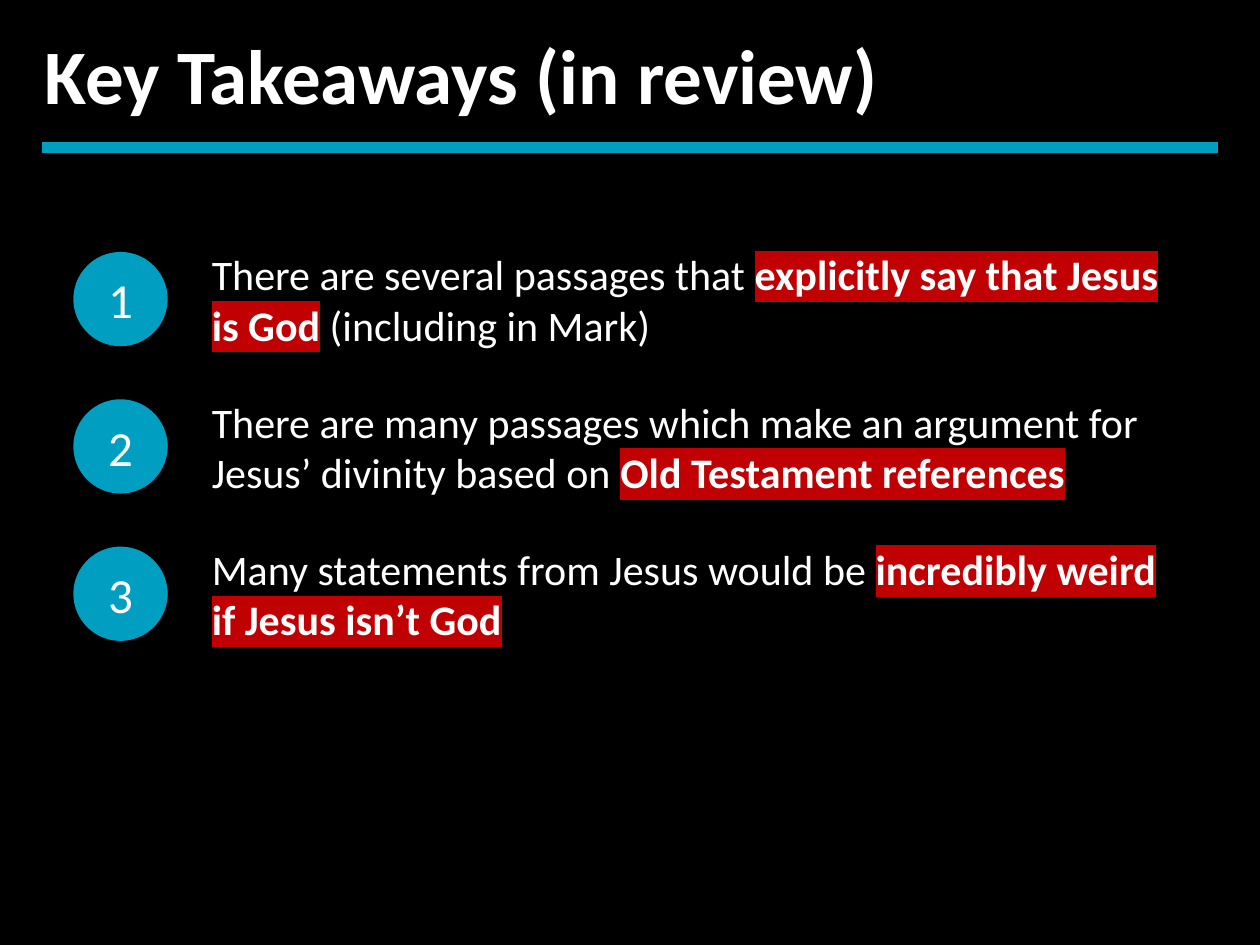
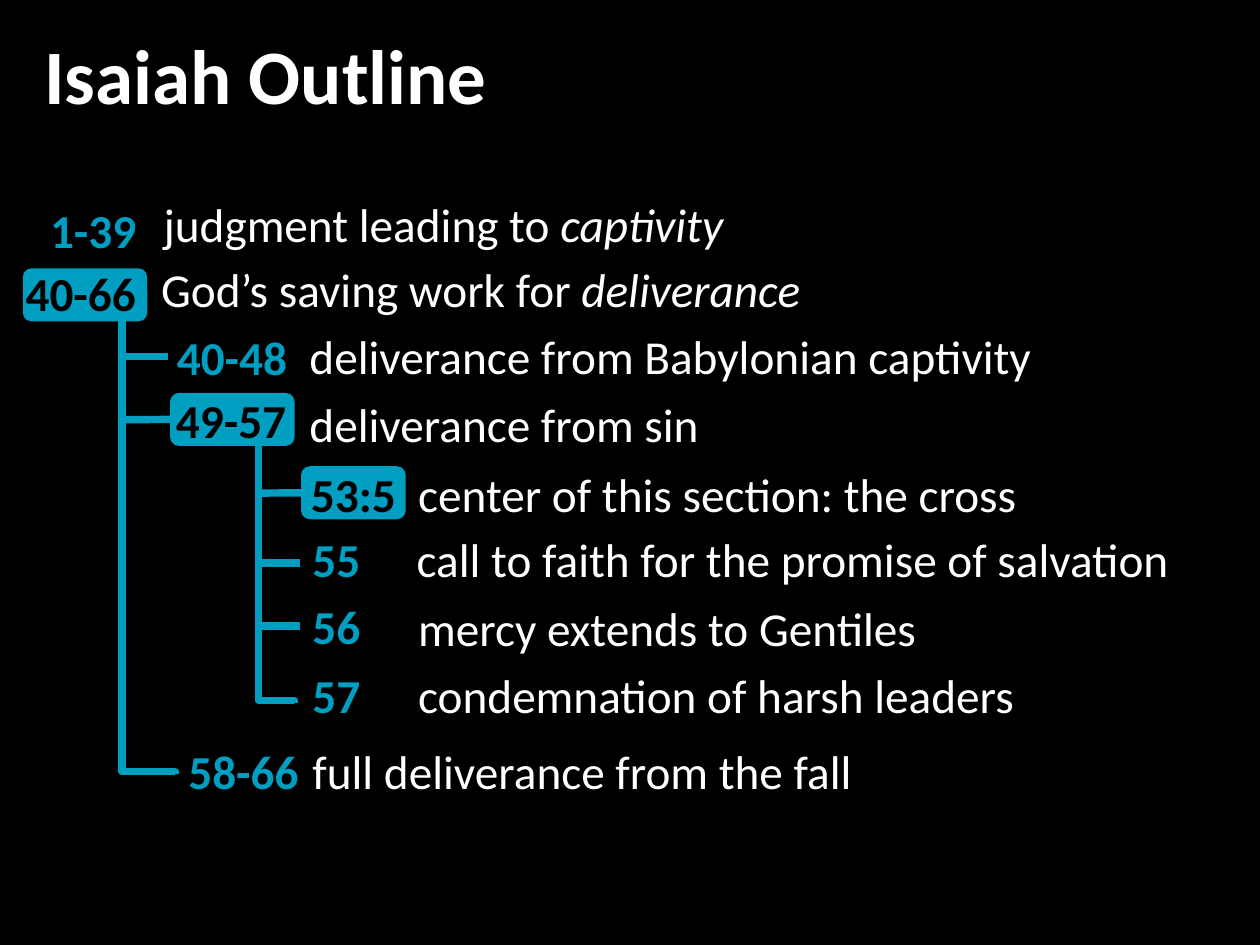
from lxml.etree import SubElement
from pptx import Presentation
from pptx.dml.color import RGBColor
from pptx.enum.shapes import MSO_CONNECTOR, MSO_SHAPE
from pptx.enum.text import MSO_ANCHOR, MSO_AUTO_SIZE, PP_ALIGN
from pptx.oxml.ns import qn
from pptx.util import Cm, Pt

COLORS = {"black": "000000", "white": "FFFFFF", "teal": "009EC0", "red": "C00002"}
FONT = "Calibri"
TITLE = {"size": Pt(44), "bold": True}
NUMBER = {"size": Pt(28)}
POINT = {"size": Pt(24)}
ENTRY = {"size": Pt(27)}
CHAPTER = {"size": Pt(27), "bold": True}
STRONG = {"bold": True}
ITALIC = {"italic": True}

TAKEAWAYS = [
    [("There are several passages that ", {}),
     ("explicitly say that Jesus is God", STRONG),
     (" (including in Mark)", {})],
    [("There are many passages which make an argument for Jesus’ divinity based on ", {}),
     ("Old Testament references", STRONG)],
    [("Many statements from Jesus would be ", {}),
     ("incredibly weird if Jesus isn’t God", STRONG)],
]

# chapters, (left, top, width), align, entry runs, (left, top, width)
OUTLINE = [
    ("1-39", (0.74, 3.94, 2.26), "right",
     [("judgment leading to ", {}), ("captivity", ITALIC)], (3.05, 3.81, 11.91)),
    ("40-66", (0.25, 5.21, 2.74), "right",
     [("God’s saving work for ", {}), ("deliverance", ITALIC)], (3, 5.13, 13.51)),
    ("40-48", (3.3, 6.5, 2.74), "right",
     [("deliverance from Babylonian captivity", {})], (5.99, 6.48, 15.19)),
    ("49-57", (3.28, 7.77, 2.74), "right",
     [("deliverance from sin", {})], (5.99, 7.85, 8.43)),
    ("53:5", (6.02, 9.25, 2.24), "left",
     [("center of this section: the cross", {})], (8.18, 9.25, 12.67)),
    ("55", (6.05, 10.57, 1.47), "left",
     [("call to faith for the promise of salvation", {})], (8.15, 10.57, 15.8)),
    ("56", (6.05, 11.91, 1.47), "left",
     [("mercy extends to Gentiles", {})], (8.18, 11.96, 10.64)),
    ("57", (6.05, 13.31, 1.47), "left",
     [("condemnation of harsh leaders", {})], (8.18, 13.31, 12.62)),
    ("58-66", (3.53, 14.83, 2.74), "right",
     [("full deliverance from the fall", {})], (6.05, 14.83, 11.71)),
]
PILLS = {"40-66": (0.46, 5.41, 2.51), "49-57": (3.43, 7.92, 2.51), "53:5": (6.07, 9.4, 2.11)}
WRAPPED = {"49-57", "53:5", "58-66"}
ALIGN = {"left": PP_ALIGN.LEFT, "right": PP_ALIGN.RIGHT, "center": PP_ALIGN.CENTER}


def rgb(name):
    """Return the named palette colour."""
    return RGBColor.from_string(COLORS[name])


def write(tf, runs, base, color="white", align="left", highlight=None):
    """Fill the first paragraph with runs; bold runs may be highlighted."""
    p = tf.paragraphs[0]
    p.alignment = ALIGN[align]
    for text, extra in runs:
        r = p.add_run()
        r.text = text
        for key, value in {"name": FONT, **base, **extra}.items():
            setattr(r.font, key, value)
        r.font.color.rgb = rgb(color)
        if highlight and extra.get("bold"):
            rPr = r.font._element
            mark = SubElement(rPr, qn("a:highlight"))
            SubElement(mark, qn("a:srgbClr")).set("val", COLORS[highlight])
            rPr.find(qn("a:solidFill")).addnext(mark)


def add_slide(prs, title):
    """Add a slide with the shared title style."""
    slide = prs.slides.add_slide(prs.slide_layouts[5])
    sp = slide.shapes.title
    place = {"left": Cm(0.64), "top": Cm(0.43), "width": Cm(23.93), "height": Cm(2.13)}
    for key, value in place.items():
        setattr(sp, key, value)
    tf = sp.text_frame
    tf.vertical_anchor = MSO_ANCHOR.TOP
    tf.auto_size = MSO_AUTO_SIZE.NONE
    write(tf, [(title, {})], TITLE)
    return slide


def add_text(slide, place, height, wrap=True):
    """Add a text box and return its text frame."""
    left, top, width = place
    tf = slide.shapes.add_textbox(Cm(left), Cm(top), Cm(width), Cm(height)).text_frame
    tf.word_wrap = wrap
    return tf


def add_filled(slide, kind, place, height):
    """Add a plain teal shape."""
    left, top, width = place
    sp = slide.shapes.add_shape(kind, Cm(left), Cm(top), Cm(width), Cm(height))
    sp.shadow.inherit = False
    sp.fill.solid()
    sp.fill.fore_color.rgb = rgb("teal")
    sp.line.fill.background()
    return sp


def add_line(slide, x1, y1, x2, y2, weight=4.25, kind=MSO_CONNECTOR.STRAIGHT):
    """Add a teal connector without shadow."""
    line = slide.shapes.add_connector(kind, Cm(x1), Cm(y1), Cm(x2), Cm(y2))
    line.line.color.rgb = rgb("teal")
    line.line.width = Pt(weight)
    SubElement(line._element.spPr, qn("a:effectLst"))
    return line


def add_trunk(slide, x1, y1, x2, y2, bend):
    """Add an elbow that runs down, then right at the bend (share of its height)."""
    cx, cy = (x1 + x2) / 2, (y1 + y2) / 2
    dx, dy = (y2 - y1) / 2, (x2 - x1) / 2
    line = add_line(slide, cx + dx, cy - dy, cx - dx, cy + dy, kind=MSO_CONNECTOR.ELBOW)
    spPr = line._element.spPr
    spPr.find(qn("a:xfrm")).set("rot", str(270 * 60000))
    guides = spPr.find(qn("a:prstGeom")).find(qn("a:avLst"))
    guide = SubElement(guides, qn("a:gd"))
    guide.set("name", "adj1")
    guide.set("fmla", f"val {round(bend * 1000)}")


def add_takeaway(slide, number, runs):
    """Add a numbered circle with its point."""
    top, size = 5.08 + (number - 1) * 2.97, 1.9
    circle = add_filled(slide, MSO_SHAPE.OVAL, (1.48, top, size), size)
    write(circle.text_frame, [(str(number), {})], NUMBER, align="center")
    tf = add_text(slide, (4.02, top, 19.68), size)
    tf.vertical_anchor = MSO_ANCHOR.MIDDLE
    write(tf, runs, POINT, highlight="red")


def add_entry(slide, chapters, chapter_place, align, runs, entry_place):
    """Add one outline row: chapter numbers and description."""
    wrap = chapters in WRAPPED
    color = "black" if chapters in PILLS else "teal"
    chapter_tf = add_text(slide, chapter_place, 1.42, wrap)
    entry_tf = add_text(slide, entry_place, 1.42, wrap)
    for tf in (chapter_tf, entry_tf):
        tf.auto_size = MSO_AUTO_SIZE.SHAPE_TO_FIT_TEXT
    write(chapter_tf, [(chapters, {})], CHAPTER, color, align)
    write(entry_tf, runs, ENTRY)


def build_takeaways(prs):
    """Build the takeaways slide."""
    slide = add_slide(prs, "Key Takeaways (in review)")
    for number, runs in enumerate(TAKEAWAYS, 1):
        add_takeaway(slide, number, runs)
    add_line(slide, 0.85, 2.97, 24.55, 2.97, weight=6)


def build_outline(prs):
    """Build the outline tree slide."""
    slide = add_slide(prs, "Isaiah Outline")
    pills = {name: add_filled(slide, MSO_SHAPE.ROUNDED_RECTANGLE, place, 1.07)
             for name, place in PILLS.items()}
    add_trunk(slide, 2.46, 6.4, 3.53, 15.6, 99.5)
    add_trunk(slide, 5.21, 8.81, 5.94, 14.17, 99.1)
    for x1, x2, y, target in [(2.51, 3.38, 7.19, None), (2.51, 3.43, 8.46, "49-57"),
                              (5.22, 6.07, 9.94, "53:5"), (5.22, 6.05, 11.35, None),
                              (5.22, 6.05, 12.62, None)]:
        line = add_line(slide, x1, y, x2, y)
        if target:
            line.end_connect(pills[target], 1)
    for entry in OUTLINE:
        add_entry(slide, *entry)


def main():
    """Build and save the presentation."""
    prs = Presentation()
    prs.slide_width, prs.slide_height = Cm(25.4), Cm(19.05)
    fill = prs.slide_master.background.fill
    fill.solid()
    fill.fore_color.rgb = rgb("black")
    build_takeaways(prs)
    build_outline(prs)
    prs.save("out.pptx")


if __name__ == "__main__":
    main()
